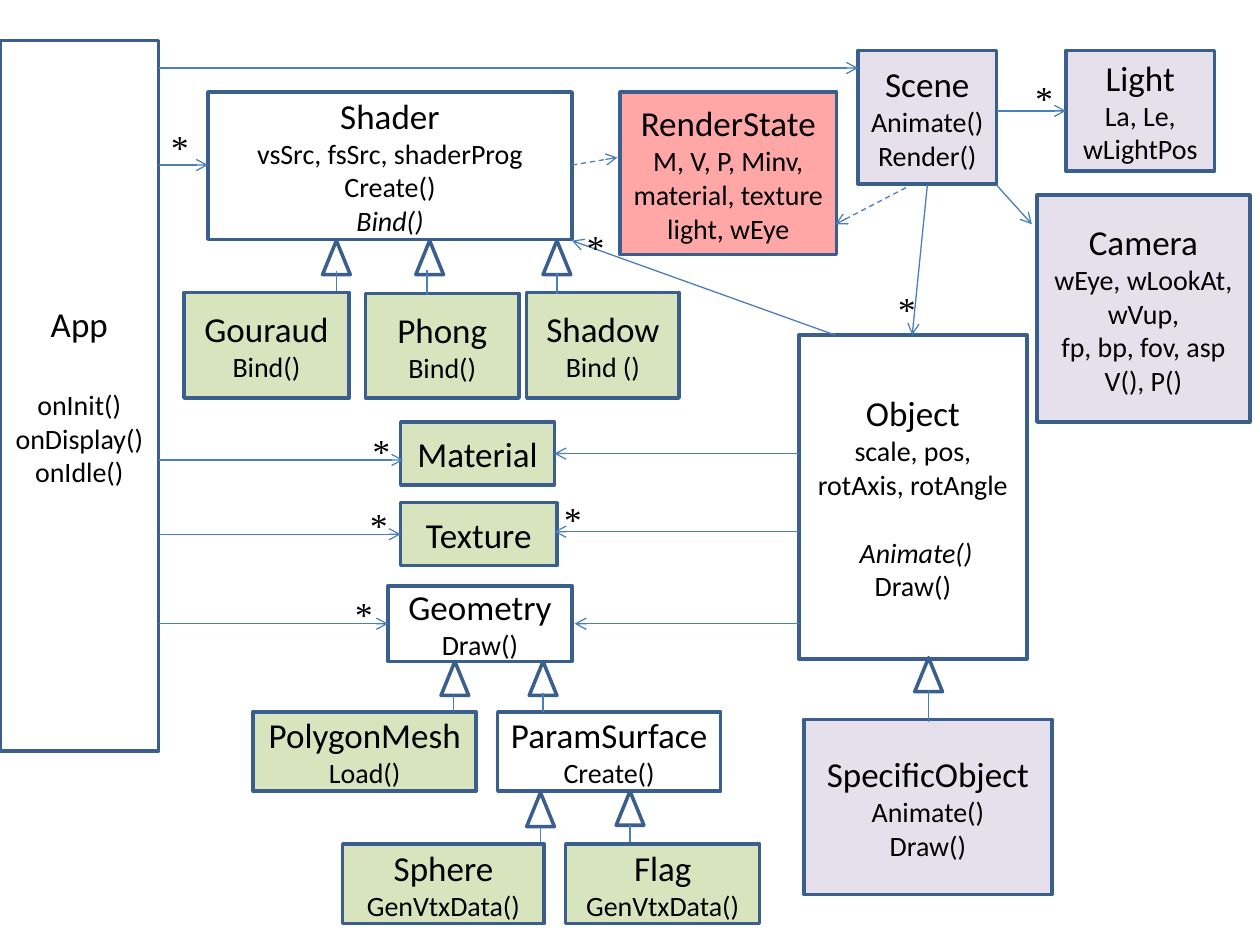
from dataclasses import dataclass

from lxml import etree
from pptx import Presentation
from pptx.dml.color import RGBColor
from pptx.enum.dml import MSO_LINE
from pptx.enum.shapes import MSO_CONNECTOR, MSO_SHAPE
from pptx.enum.text import MSO_ANCHOR, MSO_AUTO_SIZE, PP_ALIGN
from pptx.oxml.ns import qn
from pptx.util import Emu, Pt

RECTANGLE, TRIANGLE = MSO_SHAPE.RECTANGLE, MSO_SHAPE.ISOSCELES_TRIANGLE
STRAIGHT, DASH = MSO_CONNECTOR.STRAIGHT, MSO_LINE.DASH
CENTER, MIDDLE = PP_ALIGN.CENTER, MSO_ANCHOR.MIDDLE
FIT_TEXT = MSO_AUTO_SIZE.SHAPE_TO_FIT_TEXT

EMU_PER_PX = 9144  # 100 px to the inch
COLORS = {
    "border": "3A5F8C",
    "arrow": "4B7EBC",
    "text": "000000",
    "concrete": "D7E4BD",
    "scene": "E6E0EC",
    "state": "FFA7A7",
}
NAME_SIZE, MEMBER_SIZE = 20, 16


@dataclass(frozen=True)
class Member:
    text: str
    italic: bool = False
    gap: float = 0  # points above the line


@dataclass(frozen=True)
class ClassBox:
    name: str
    left: int
    top: int
    width: int
    height: int
    members: tuple[Member | str, ...] = ()
    fill: str | None = None


@dataclass(frozen=True)
class Association:
    start: tuple[int, int]
    end: tuple[int, int]
    dashed: bool = False


@dataclass(frozen=True)
class Inheritance:
    left: int
    top: int
    link_x: int
    link_top: int
    link_bottom: int


CLASSES = [
    ClassBox("App", 0, 32, 126, 564,
             (Member("onInit()", gap=24.4), "onDisplay()", "onIdle()")),
    # Shaders and render state
    ClassBox("Shader", 165, 73, 289, 117,
             ("vsSrc, fsSrc, shaderProg", "Create()", Member("Bind()", italic=True))),
    ClassBox("Gouraud", 146, 232, 131, 84, ("Bind()",), "concrete"),
    ClassBox("Phong", 290, 233, 122, 83, ("Bind()",), "concrete"),
    ClassBox("Shadow", 418, 232, 121, 84, ("Bind ()",), "concrete"),
    ClassBox("RenderState", 492, 73, 172, 129,
             ("M, V, P, Minv,", "material, texture", "light, wEye"), "state"),
    # Surface properties and geometry
    ClassBox("Material", 318, 335, 122, 50, fill="concrete"),
    ClassBox("Texture", 318, 399, 124, 50, fill="concrete"),
    ClassBox("Geometry", 308, 465, 146, 60, ("Draw()",)),
    ClassBox("PolygonMesh", 201, 565, 177, 63, ("Load()",), "concrete"),
    ClassBox("ParamSurface", 395, 565, 177, 63, ("Create()",)),
    ClassBox("Sphere", 272, 670, 160, 63, ("GenVtxData()",), "concrete"),
    ClassBox("Flag", 449, 670, 154, 63, ("GenVtxData()",), "concrete"),
    # Scene and its parts
    ClassBox("Scene", 681, 40, 110, 106, ("Animate()", "Render()"), "scene"),
    ClassBox("Light", 846, 40, 118, 96, ("La, Le,", "wLightPos"), "scene"),
    ClassBox("Camera", 823, 155, 169, 180,
             ("wEye, wLookAt, wVup,", "fp, bp, fov, asp", "V(), P()"), "scene"),
    ClassBox("Object", 634, 266, 181, 257,
             ("scale, pos, rotAxis, rotAngle",
              Member(" Animate()", italic=True, gap=19.5), "Draw()")),
    ClassBox("SpecificObject", 638, 571, 197, 139, ("Animate()", "Draw()"), "scene"),
]

ASSOCIATIONS = [
    # From App
    Association((126, 54), (681, 54)),
    Association((126, 131), (165, 131)),
    Association((126, 365), (320, 365)),
    Association((126, 424), (318, 424)),
    Association((126, 495), (308, 495)),
    # From Object
    Association((663, 266), (454, 191)),
    Association((634, 360), (440, 360)),
    Association((634, 422), (440, 422)),
    Association((634, 495), (456, 495)),
    # From Scene
    Association((791, 88), (846, 88)),
    Association((791, 147), (819, 178)),
    Association((736, 147), (724, 266)),
    # Use of RenderState
    Association((719, 149), (663, 178), dashed=True),
    Association((454, 131), (490, 125), dashed=True),
]

INHERITANCES = [
    Inheritance(256, 191, 267, 215, 231),  # Gouraud
    Inheritance(330, 191, 339, 214, 234),  # Phong
    Inheritance(431, 191, 442, 217, 233),  # Shadow
    Inheritance(350, 525, 360, 552, 564),  # PolygonMesh
    Inheritance(420, 525, 431, 550, 565),  # ParamSurface
    Inheritance(418, 629, 429, 656, 668),  # Sphere
    Inheritance(489, 628, 500, 655, 668),  # Flag
    Inheritance(726, 522, 737, 548, 573),  # SpecificObject
]

MANY_MARKS = [(126, 95), (286, 336), (284, 395), (272, 465),
              (438, 390), (456, 174), (703, 223), (812, 56)]


def px(value: int) -> Emu:
    return Emu(value * EMU_PER_PX)


def color(key: str) -> RGBColor:
    return RGBColor.from_string(COLORS[key])


def add_run(paragraph, text: str, size: int, font="Calibri", italic=False) -> None:
    run = paragraph.add_run()
    run.text = text
    run.font.size = Pt(size)
    run.font.name = font
    run.font.italic = italic
    run.font.color.rgb = color("text")


def add_outline(slide, kind, left: int, top: int, width: int, height: int,
                fill: str | None = None):
    outline = slide.shapes.add_shape(kind, px(left), px(top), px(width), px(height))
    outline.shadow.inherit = False
    if fill:
        outline.fill.solid()
        outline.fill.fore_color.rgb = color(fill)
    else:
        outline.fill.background()
    outline.line.color.rgb = color("border")
    outline.line.width = Pt(2)
    return outline


def draw_class(slide, box: ClassBox) -> None:
    outline = add_outline(slide, RECTANGLE, box.left, box.top,
                          box.width, box.height, box.fill)
    frame = outline.text_frame
    frame.word_wrap = True
    frame.vertical_anchor = MIDDLE
    heading = frame.paragraphs[0]
    heading.alignment = CENTER
    add_run(heading, box.name, NAME_SIZE)
    for entry in box.members:
        member = Member(entry) if isinstance(entry, str) else entry
        paragraph = frame.add_paragraph()
        paragraph.alignment = CENTER
        paragraph.space_before = Pt(member.gap)
        add_run(paragraph, member.text, MEMBER_SIZE, italic=member.italic)


def draw_line(slide, start: tuple[int, int], end: tuple[int, int],
              arrow=False, dashed=False) -> None:
    link = slide.shapes.add_connector(STRAIGHT, *map(px, start + end))
    link.line.color.rgb = color("arrow")
    link.line.width = Pt(0.75)
    if dashed:
        link.line.dash_style = DASH
    if arrow:
        etree.SubElement(link.line._get_or_add_ln(), qn("a:tailEnd"), type="arrow")
    etree.SubElement(link._element.spPr, qn("a:effectLst"))


def draw_inheritance(slide, item: Inheritance) -> None:
    add_outline(slide, TRIANGLE, item.left, item.top, 22, 27)
    draw_line(slide, (item.link_x, item.link_bottom), (item.link_x, item.link_top))


def draw_many_mark(slide, left: int, top: int) -> None:
    mark = slide.shapes.add_textbox(px(left), px(top), px(34), px(44))
    mark.text_frame.word_wrap = False
    mark.text_frame.auto_size = FIT_TEXT
    add_run(mark.text_frame.paragraphs[0], "*", 20, "Times New Roman")


def main() -> None:
    deck = Presentation()
    deck.slide_width, deck.slide_height = px(1000), px(750)
    slide = deck.slides.add_slide(deck.slide_layouts[6])
    for box in CLASSES:
        draw_class(slide, box)
    for item in INHERITANCES:
        draw_inheritance(slide, item)
    for item in ASSOCIATIONS:
        draw_line(slide, item.start, item.end, arrow=True, dashed=item.dashed)
    for left, top in MANY_MARKS:
        draw_many_mark(slide, left, top)
    deck.save("out.pptx")


if __name__ == "__main__":
    main()
